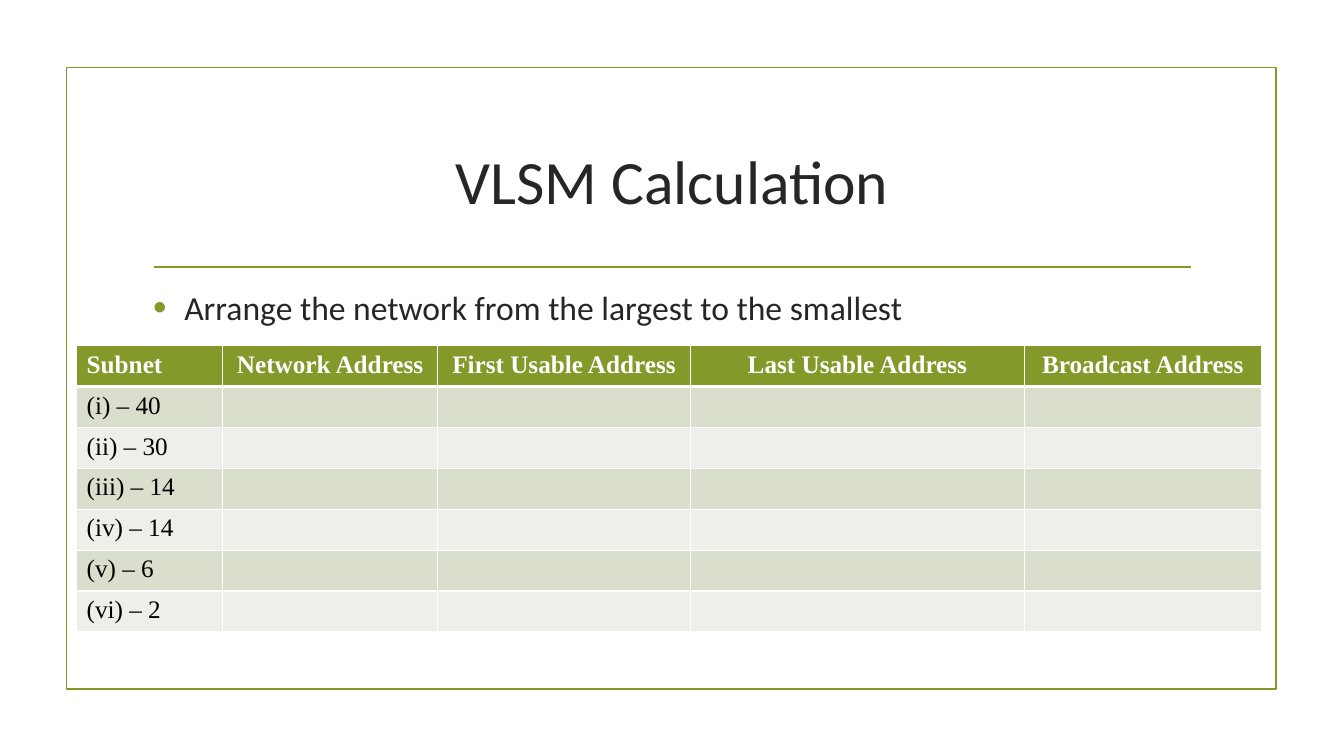
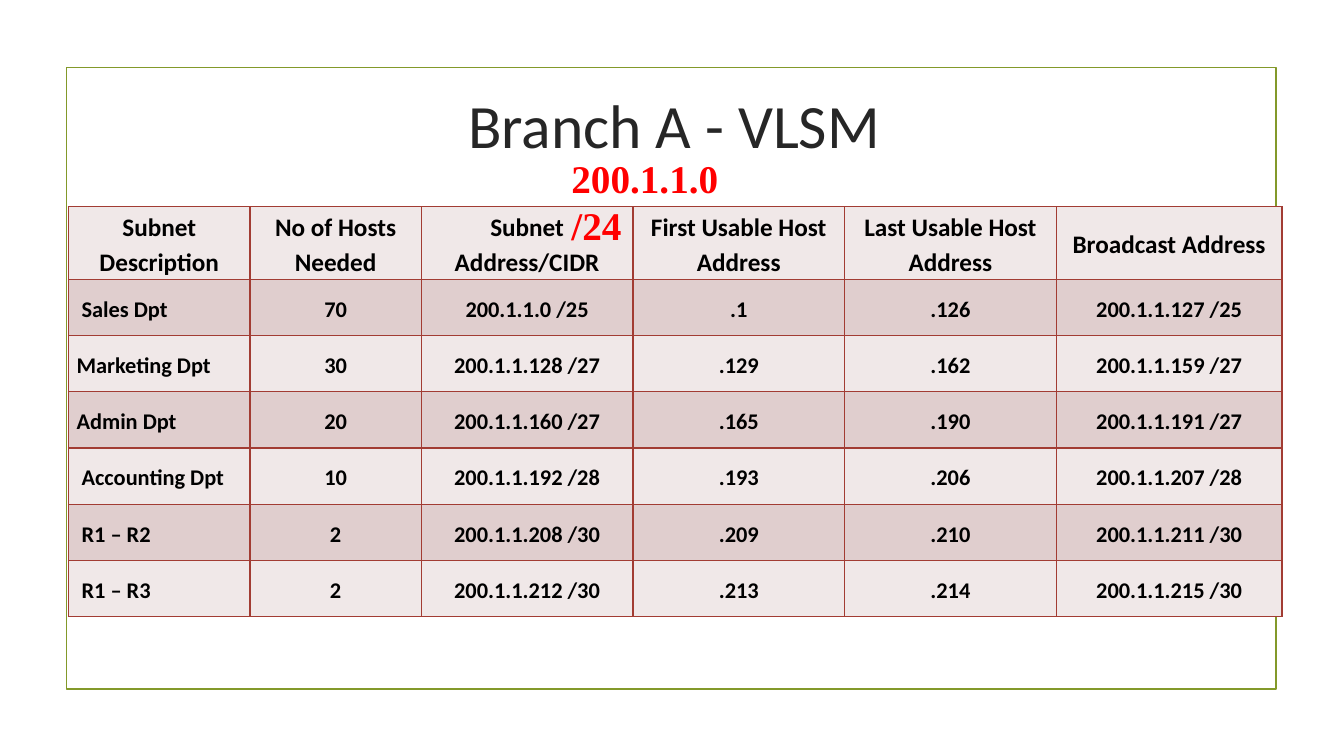
"""Build two VLSM slides that share a framed layout."""
from dataclasses import dataclass
from typing import Any

from lxml import etree
from pptx import Presentation
from pptx import util as u
from pptx.dml.color import RGBColor
from pptx.enum import shapes, text
from pptx.oxml import ns

W, H = u.Inches(13.33), u.Inches(7.5)
OLIVE, INK, WHITE, BLACK = "83992A", "262626", "FFFFFF", "000000"
BRICK, RED = "A23C33", "FF0000"
SANS, SERIF = "Calibri", "Times New Roman"
LEFT, CENTER = text.PP_ALIGN.LEFT, text.PP_ALIGN.CENTER
TOP, MIDDLE, BOTTOM = (text.MSO_ANCHOR.TOP, text.MSO_ANCHOR.MIDDLE,
                       text.MSO_ANCHOR.BOTTOM)


@dataclass(frozen=True)
class Box:
    """Hold a place as percentages of the slide's width and height."""
    x: float
    y: float
    w: float
    h: float

    def emu(self) -> tuple[int, int, int, int]:
        """Return left, top, width and height."""
        return across(self.x), down(self.y), across(self.w), down(self.h)


@dataclass(frozen=True)
class Font:
    """Describe the look of a run."""
    name: str
    size: float
    color: str
    bold: bool = False


@dataclass(frozen=True)
class Grid:
    """Describe a table's place, tracks, in percentages, and colours."""
    x: float
    y: float
    cols: list[float]
    rows: list[float]
    border: str
    fills: tuple[str, str, str]
    header_rule: float = 1


@dataclass(frozen=True)
class Cell:
    """Describe the text of a table cell."""
    text: str
    font: Font
    para: dict[str, Any]
    frame: dict[str, Any]


def across(share: float) -> int:
    """Convert a percentage of the slide's width."""
    return round(W * share / 100)


def down(share: float) -> int:
    """Convert a percentage of the slide's height."""
    return round(H * share / 100)


def rgb(value: str) -> RGBColor:
    """Convert a hex string to a colour."""
    return RGBColor.from_string(value)


def apply(obj: Any, values: dict[str, Any]) -> None:
    """Set each named attribute."""
    for name, value in values.items():
        setattr(obj, name, value)


def write(p: Any, words: str, font: Font, **para: Any) -> None:
    """Add a formatted run to a paragraph."""
    apply(p, para)
    r = p.add_run()
    r.text = words
    apply(r.font, {"name": font.name, "size": u.Pt(font.size), "bold": font.bold})
    r.font.color.rgb = rgb(font.color)


def add_node(parent: Any, tag: str, **attrs: str) -> Any:
    """Append a drawing element."""
    return etree.SubElement(parent, ns.qn(tag), attrs)


def add_layout_art(s: Any, layout: Any) -> None:
    """Give the layout its frame and title rule."""
    frame = s.shapes.add_shape(shapes.MSO_SHAPE.RECTANGLE,
                               *Box(4.95, 8.93, 90, 82.27).emu())
    frame.shadow.inherit = False
    frame.fill.background()
    rule = s.shapes.add_connector(shapes.MSO_CONNECTOR.STRAIGHT, across(11.48),
                                  down(35.33), across(88.6), down(35.33))
    for sp in (frame, rule):
        sp.line.color.rgb = rgb(OLIVE)
        sp.line.width = u.Pt(1.25)
        layout.shapes.element.append(sp.element)
    add_node(rule.element.spPr, "a:effectLst")


def add_title(s: Any, words: str, box: Box) -> None:
    """Place and fill the title placeholder."""
    sp = s.shapes.title
    apply(sp, dict(zip(("left", "top", "width", "height"), box.emu())))
    sp.text_frame.vertical_anchor = MIDDLE
    write(sp.text_frame.paragraphs[0], words, Font(SANS, 44, INK), alignment=CENTER)


def add_text(s: Any, box: Box, words: str, font: Font, wrap: bool, **para: Any) -> Any:
    """Add a text box and return its paragraph."""
    tf = s.shapes.add_textbox(*box.emu()).text_frame
    tf.word_wrap = wrap
    if not wrap:
        tf.auto_size = text.MSO_AUTO_SIZE.SHAPE_TO_FIT_TEXT
    p = tf.paragraphs[0]
    write(p, words, font, **para)
    return p


def add_bullet(p: Any, color: str) -> None:
    """Give a paragraph a hanging round bullet."""
    pr = p._p.get_or_add_pPr()
    indent = u.Inches(0.31)
    pr.set("marL", str(indent))
    pr.set("indent", str(-indent))
    add_node(add_node(pr, "a:buClr"), "a:srgbClr", val=color)
    add_node(pr, "a:buSzPct", val="115000")
    add_node(pr, "a:buFont", typeface="Arial")
    add_node(pr, "a:buChar", char="•")


def add_borders(cell: Any, color: str, widths: dict[str, float]) -> None:
    """Draw the four edges of a cell."""
    pr = cell._tc.get_or_add_tcPr()
    for side, width in widths.items():
        ln = add_node(pr, f"a:ln{side}", w=str(u.Pt(width)))
        add_node(add_node(ln, "a:solidFill"), "a:srgbClr", val=color)


def add_table(s: Any, grid: Grid, cells: list[list[Cell]]) -> None:
    """Add a table with banded rows."""
    box = Box(grid.x, grid.y, sum(grid.cols), sum(grid.rows))
    tbl = s.shapes.add_table(len(grid.rows), len(grid.cols), *box.emu()).table
    apply(tbl, {"first_row": False, "horz_banding": False})
    for col, share in zip(tbl.columns, grid.cols):
        col.width = across(share)
    for i, (row, share) in enumerate(zip(tbl.rows, grid.rows)):
        row.height = down(share)
        above = grid.header_rule if i == 1 else 1
        below = grid.header_rule if i == 0 else 1
        fill = grid.fills[0] if i == 0 else grid.fills[2 - i % 2]
        for cell, item in zip(row.cells, cells[i]):
            add_borders(cell, grid.border, {"L": 1, "R": 1, "T": above, "B": below})
            cell.fill.solid()
            cell.fill.fore_color.rgb = rgb(fill)
            apply(cell, item.frame)
            p = cell.text_frame.paragraphs[0]
            if item.text:
                write(p, item.text, item.font, **item.para)


def worksheet_cells() -> list[list[Cell]]:
    """List the cells of the blank worksheet."""
    heads = ["Subnet", "Network Address", "First Usable Address",
             "Last Usable Address", "Broadcast Address"]
    subnets = ["(i) – 40", "(ii) – 30", "(iii) – 14", "(iv) – 14", "(v) – 6", "(vi) – 2"]
    rows = [heads] + [[name] + [""] * 4 for name in subnets]
    fonts = [Font(SERIF, 18, WHITE, True)] + [Font(SERIF, 18, BLACK)] * len(subnets)
    return [[Cell(words, font, {"alignment": CENTER if j else LEFT},
                  {"vertical_anchor": TOP}) for j, words in enumerate(row)]
            for row, font in zip(rows, fonts)]


def branch_cells() -> list[list[Cell]]:
    """List the cells of the branch's address plan."""
    rows = [
        ["Subnet Description", "No of Hosts Needed", "Subnet Address/CIDR",
         "First Usable Host Address", "Last Usable Host Address", "Broadcast Address"],
        ["Sales Dpt", "70", "200.1.1.0 /25", ".1", ".126", "200.1.1.127 /25"],
        ["Marketing Dpt", "30", "200.1.1.128 /27", ".129", ".162", "200.1.1.159 /27"],
        ["Admin Dpt", "20", "200.1.1.160 /27", ".165", ".190", "200.1.1.191 /27"],
        ["Accounting Dpt", "10", "200.1.1.192 /28", ".193", ".206", "200.1.1.207 /28"],
        ["R1 – R2", "2", "200.1.1.208 /30", ".209", ".210", "200.1.1.211 /30"],
        ["R1 – R3", "2", "200.1.1.212 /30", ".213", ".214", "200.1.1.215 /30"],
    ]
    flush = {"Marketing Dpt", "Admin Dpt"}
    cells = []
    for i, row in enumerate(rows):
        font = Font(SANS, 16 if i else 18, BLACK, True)
        gap = u.Pt(3 if i else 6)
        line = []
        for j, words in enumerate(row):
            last, label = j == len(row) - 1, i > 0 and j == 0
            side = 0 if last else 0.08
            edge = 0 if last else 0.01
            inset = 0.05 if label and words not in flush else 0
            para = {"alignment": LEFT if label else CENTER, "line_spacing": 1.15}
            if last or row[0] not in flush:
                para |= {"space_before": gap, "space_after": gap}
            frame = {"vertical_anchor": MIDDLE if i or last else BOTTOM,
                     "margin_left": u.Inches(side + inset),
                     "margin_right": u.Inches(side),
                     "margin_top": u.Inches(edge), "margin_bottom": u.Inches(edge)}
            line.append(Cell(words, font, para, frame))
        cells.append(line)
    return cells


def add_worksheet_slide(s: Any) -> None:
    """Build the slide with the blank worksheet."""
    add_title(s, "VLSM Calculation", Box(10.65, 14.27, 78.75, 19.07))
    p = add_text(s, Box(10.65, 37.33, 78.75, 8), 
                 "Arrange the network from the largest to the smallest",
                 Font(SANS, 24, INK), True,
                 space_before=u.Pt(4.8), space_after=u.Pt(6))
    add_bullet(p, OLIVE)
    grid = Grid(5.7, 45.73, [10.88, 15.98, 18.83, 24.83, 17.63], [5.41] * 7,
                WHITE, (OLIVE, "D9DECD", "EDEFE8"), header_rule=3)
    add_table(s, grid, worksheet_cells())


def add_branch_slide(s: Any) -> None:
    """Build the slide with the branch's address plan."""
    add_title(s, "Branch A - VLSM", Box(10.8, 6.8, 78.75, 19.07))
    grid = Grid(5.1, 27.33, [13.5, 12.75] + [15.75] * 3 + [16.8],
                [7.07] + [7.44] * 6, BRICK, ("F0E8E8", "E0CECE", "F0E8E8"))
    add_table(s, grid, branch_cells())
    add_text(s, Box(41.78, 19.73, 16.8, 7.6), "200.1.1.0 /24",
             Font(SERIF, 28, RED, True), False)


def main() -> None:
    """Build and save the presentation."""
    prs = Presentation()
    apply(prs, {"slide_width": W, "slide_height": H})
    layout = prs.slide_layouts.get_by_name("Title Only")
    for i, build in enumerate((add_worksheet_slide, add_branch_slide)):
        s = prs.slides.add_slide(layout)
        if i == 0:
            add_layout_art(s, layout)
        build(s)
    prs.save("out.pptx")


if __name__ == "__main__":
    main()
